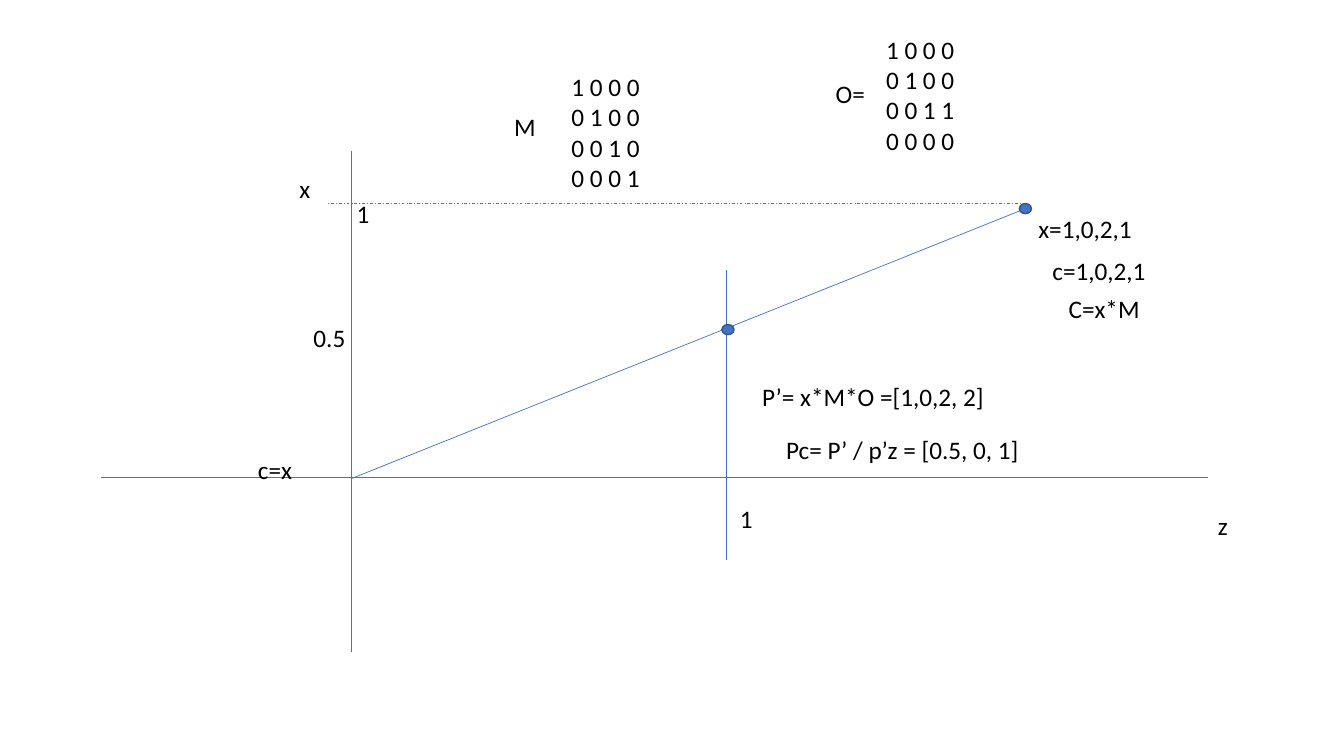
from pptx import Presentation
from pptx.dml.color import RGBColor
from pptx.enum.dml import MSO_LINE
from pptx.enum.shapes import MSO_CONNECTOR, MSO_SHAPE
from pptx.enum.text import MSO_AUTO_SIZE
from pptx.oxml.ns import qn
from pptx.util import Inches, Pt

STRAIGHT = MSO_CONNECTOR.STRAIGHT
OVAL = MSO_SHAPE.OVAL
DASH_DOT = MSO_LINE.DASH_DOT
FIT_TEXT = MSO_AUTO_SIZE.SHAPE_TO_FIT_TEXT

THEME = {
    "font": {"name": "Calibri", "size": Pt(18)},
    "text": RGBColor(0, 0, 0),
    "blue": RGBColor(0x44, 0x72, 0xC4),
    "dot_edge": RGBColor(0x32, 0x54, 0x91),
    "hairline": Pt(0.5),
    "dot_line": Pt(1),
}

# Content: (start, end, dash)
RAYS = [
    ((3.48, 1.5), (3.48, 6.47), None),         # x axis
    ((1, 4.74), (11.98, 4.74), None),          # z axis
    ((7.2, 2.68), (7.2, 5.56), None),          # projection plane
    ((3.48, 4.75), (10.17, 2.07), None),       # ray to the point
    ((10.17, 2.02), (3.25, 2.02), DASH_DOT),   # height of the point
]

# Dot centres: the point and its projection
DOTS = [(10.17, 2.07), (7.22, 3.27)]
DOT_SIZE = (0.12, 0.1)

# Single-line labels: text, left, top, width
LABELS = [
    ("z", 11.98, 5.01, 0.31),
    ("x", 2.87, 1.67, 0.31),
    ("x=1,0,2,1", 10.2, 2.07, 1.16),
    ("c=1,0,2,1", 10.34, 2.48, 1.16),
    ("C=x*M", 10.5, 2.86, 0.91),
    ("c=x", 2.46, 4.46, 0.54),
    ("P’= x*M*O =[1,0,2, 2] ", 7.46, 3.73, 2.5),
    ("Pc= P’ / p’z = [0.5, 0, 1]", 7.7, 4.26, 2.53),
    ("M", 5, 1.06, 0.42),
    ("O=", 8.19, 0.73, 0.49),
    ("1", 7.24, 4.94, 0.33),
    ("0.5", 3.01, 3.15, 0.52),
    ("1", 3.44, 1.92, 0.33),
]
LABEL_HEIGHT = 0.4

# Matrices: rows, left, top
MATRICES = [
    (["1 0 0 0 ", "0 1 0 0", "0 0 1 0", "0 0 0 1"], 5.57, 0.66),
    (["1 0 0 0 ", "0 1 0 0", "0 0 1 1", "0 0 0 0"], 8.69, 0.29),
]
MATRIX_SIZE = (2.57, 1.31)

prs = Presentation()
prs.slide_width, prs.slide_height = Inches(13.33), Inches(7.5)
slide = prs.slides.add_slide(prs.slide_layouts[6])


def add_text(rows, left, top, width, height, wrap):
    box = slide.shapes.add_textbox(*map(Inches, (left, top, width, height)))
    frame = box.text_frame
    frame.word_wrap = wrap
    frame.auto_size = FIT_TEXT
    frame.text = "\n".join(rows)
    for paragraph in frame.paragraphs:
        font = paragraph.runs[0].font
        for key, value in THEME["font"].items():
            setattr(font, key, value)
        font.color.rgb = THEME["text"]


# Axes, plane and rays
for start, end, dash in RAYS:
    ray = slide.shapes.add_connector(STRAIGHT, *map(Inches, start + end))
    ray.line.color.rgb = THEME["blue"]
    ray.line.width = THEME["hairline"]
    if dash:
        ray.line.dash_style = dash
    properties = ray.element.find(qn("p:spPr"))
    properties.append(properties.makeelement(qn("a:effectLst"), {}))

# Point and projection
dot_width, dot_height = DOT_SIZE
for x, y in DOTS:
    corner = (x - dot_width / 2, y - dot_height / 2)
    dot = slide.shapes.add_shape(OVAL, *map(Inches, corner + DOT_SIZE))
    dot.shadow.inherit = False
    dot.fill.solid()
    dot.fill.fore_color.rgb = THEME["blue"]
    dot.line.color.rgb = THEME["dot_edge"]
    dot.line.width = THEME["dot_line"]

# Labels and matrices
for label, left, top, width in LABELS:
    add_text([label], left, top, width, LABEL_HEIGHT, wrap=False)
for rows, left, top in MATRICES:
    add_text(rows, left, top, *MATRIX_SIZE, wrap=True)

prs.save("out.pptx")
